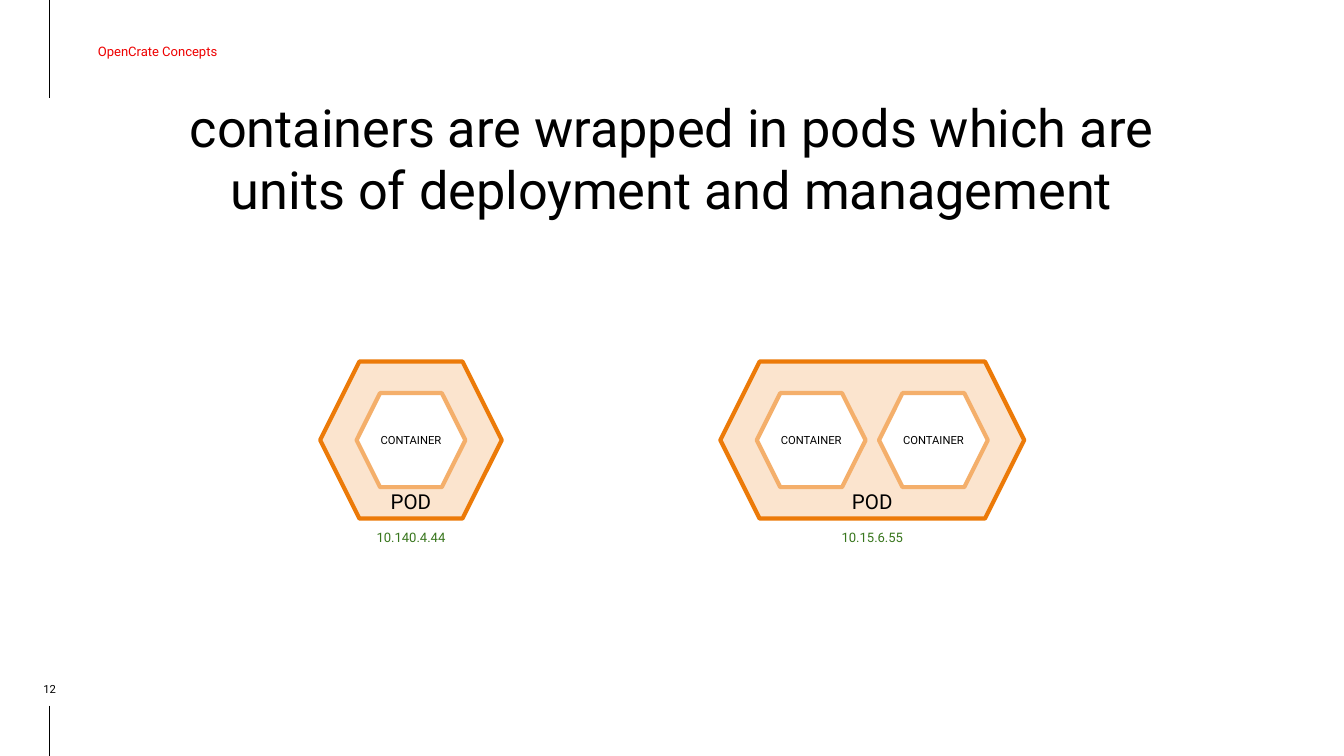
from dataclasses import dataclass

from lxml.etree import SubElement
from pptx import Presentation
from pptx.dml.color import RGBColor
from pptx.enum.shapes import MSO_CONNECTOR, MSO_SHAPE
from pptx.enum.text import MSO_ANCHOR, PP_ALIGN
from pptx.oxml.ns import qn
from pptx.util import Pt


@dataclass(frozen=True)
class Theme:
    font: str = "Roboto"
    ink: str = "000000"
    red: str = "EE0000"
    green: str = "38761D"
    white: str = "FFFFFF"
    peach: str = "FBE4CE"
    orange: str = "EC7A08"
    amber: str = "F4AF6B"
    title: float = 28
    label: float = 11
    small: float = 7
    tiny: float = 6
    rule: float = 0.75
    edge: float = 2.25


def write(shape, text, font="Roboto", size=7, color="000000",
          align=PP_ALIGN.CENTER, anchor=MSO_ANCHOR.MIDDLE, pad=(0, 0, 0, 0)):
    """Put formatted text in a shape, with pad as left, top, right, bottom."""
    frame = shape.text_frame
    frame.word_wrap = True
    frame.vertical_anchor = anchor
    frame.margin_left, frame.margin_top, frame.margin_right, frame.margin_bottom = map(Pt, pad)
    para = frame.paragraphs[0]
    para.alignment = align
    run = para.add_run()
    run.text = text
    run.font.name = font
    run.font.size = Pt(size)
    run.font.color.rgb = RGBColor.from_string(color)


class Painter:
    """Draw styled elements on the current slide."""

    def __init__(self, slide, theme):
        """Keep the slide and its theme."""
        self.slide = slide
        self.theme = theme

    def text(self, text, x, y, w, h, **style):
        """Add a text box."""
        box = self.slide.shapes.add_textbox(Pt(x), Pt(y), Pt(w), Pt(h))
        write(box, text, font=self.theme.font, **style)

    def rule(self, x, top, end):
        """Add a thin vertical line."""
        line = self.slide.shapes.add_connector(
            MSO_CONNECTOR.STRAIGHT, Pt(x), Pt(top), Pt(x), Pt(end))
        line.line.color.rgb = RGBColor.from_string(self.theme.ink)
        line.line.width = Pt(self.theme.rule)
        SubElement(line._element.spPr, qn("a:effectLst"))

    def hexagon(self, x, y, w, h, fill, edge):
        """Add an outlined hexagon and return it."""
        shape = self.slide.shapes.add_shape(MSO_SHAPE.HEXAGON, Pt(x), Pt(y), Pt(w), Pt(h))
        shape.shadow.inherit = False
        shape.fill.solid()
        shape.fill.fore_color.rgb = RGBColor.from_string(fill)
        shape.line.color.rgb = RGBColor.from_string(edge)
        shape.line.width = Pt(self.theme.edge)
        return shape

    def pod(self, x, count, address):
        """Add a pod with its containers, name and address."""
        look = self.theme
        top, tall, step = 193.7, 84.2, 65.5
        cell, high, side = 58.3, 50.4, 19.5
        wide = 2 * side + cell + step * (count - 1)
        self.hexagon(x, top, wide, tall, look.peach, look.orange)
        for i in range(count):
            shape = self.hexagon(x + side + i * step, top + (tall - high) / 2,
                                 cell, high, look.white, look.amber)
            write(shape, "CONTAINER", font=look.font, size=look.tiny, color=look.ink)
        self.text("POD", x + side, top + tall - 18.5, wide - 2 * side, 16,
                  size=look.label, color=look.ink, anchor=MSO_ANCHOR.BOTTOM)
        self.text(address, x + side, 279.4, wide - 2 * side, 18.7, size=look.small,
                  color=look.green, anchor=MSO_ANCHOR.TOP, pad=(0, 7.2, 0, 7.2))


def main():
    """Build and save the slide."""
    deck = Presentation()
    deck.slide_width, deck.slide_height = Pt(720), Pt(405)
    look = Theme()
    art = Painter(deck.slides.add_slide(deck.slide_layouts[6]), look)

    art.rule(26.6, 0, 52.5)
    art.rule(26.6, 378, 405)
    art.text("OpenCrate Concepts", 26.6, 3.6, 304, 48.2, size=look.small,
             color=look.red, align=PP_ALIGN.LEFT, pad=(25.9, 5, 5, 5))
    art.text("12", 5, 364.3, 43.2, 8.6, size=look.tiny, color=look.ink,
             anchor=MSO_ANCHOR.BOTTOM)
    art.text("containers are wrapped in pods which are units of deployment and management",
             64.8, 41.8, 589.7, 83.5, size=look.title, color=look.ink,
             anchor=MSO_ANCHOR.BOTTOM, pad=(7.2, 7.2, 7.2, 7.2))
    art.pod(171.5, 1, "10.140.4.44")
    art.pod(385.9, 2, "10.15.6.55")
    deck.save("out.pptx")


if __name__ == "__main__":
    main()
